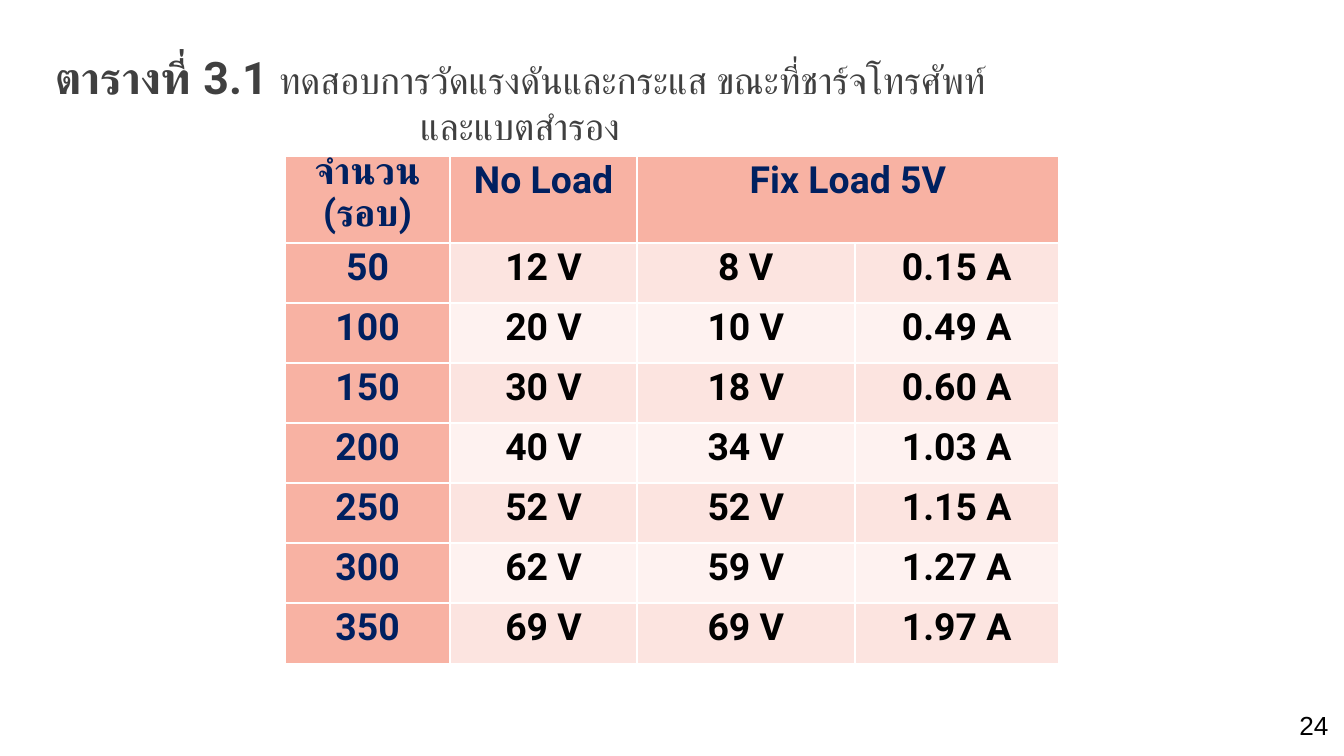
import pptx
import pptx.util
import pptx.dml.color
import pptx.enum.text

Inches, Pt = pptx.util.Inches, pptx.util.Pt
CENTER = pptx.enum.text.PP_ALIGN.CENTER
MIDDLE = pptx.enum.text.MSO_ANCHOR.MIDDLE

COLORS = {
    "title": "404040", "heading": "002060", "value": "000000",
    "header_fill": "F8B2A3", "odd_fill": "FCE4E0", "even_fill": "FEF2F0",
}
TITLE = [  # text, size, bold
    ("ตารางที่ 3.1 ", 24, True),
    ("ทดสอบการวัดแรงดันและกระแส ขณะที่ชาร์จโทรศัพท์และแบตสำรอง", 20, False),
]
HEADER = ["จำนวน (รอบ)", "No Load", "Fix Load 5V", ""]
MEASUREMENTS = [  # rounds, no-load volts, loaded volts, loaded amperes
    (50, 12, 8, "0.15"),
    (100, 20, 10, "0.49"),
    (150, 30, 18, "0.60"),
    (200, 40, 34, "1.03"),
    (250, 52, 52, "1.15"),
    (300, 62, 59, "1.27"),
    (350, 69, 69, "1.97"),
]
UNITS = ["", " V", " V", " A"]
SLIDE_WIDTH = 10
COLUMN_WIDTHS = [1.23, 1.39, 1.62, 1.52]
TABLE_HEIGHT, HEADER_HEIGHT = 3.6, 0.47
PAGE_NUMBER = "24"


def rgb(name):
    return pptx.dml.color.RGBColor.from_string(COLORS[name])


def format_font(font, name, size, color, bold=False):
    font.name, font.size, font.bold = name, Pt(size), bold
    font.color.rgb = rgb(color)


def add_text_box(slide, left, top, width, height):
    text_frame = slide.shapes.add_textbox(
        Inches(left), Inches(top), Inches(width), Inches(height)).text_frame
    text_frame.word_wrap = True
    return text_frame


def add_title(slide):
    text_frame = add_text_box(slide, 0.12, 0.63, 7.5, 0.47)
    text_frame.vertical_anchor = MIDDLE
    text_frame.margin_bottom = Inches(0.31)
    paragraph = text_frame.paragraphs[0]
    paragraph.alignment = CENTER
    for text, size, bold in TITLE:
        run = paragraph.add_run()
        run.text = text
        format_font(run.font, "Roboto", size, "title", bold)


def fill_cell(cell, text, fill, color, line_spacing):
    cell.fill.solid()
    cell.fill.fore_color.rgb = rgb(fill)
    cell.margin_left = cell.margin_right = Inches(0.07)
    cell.margin_top = cell.margin_bottom = 0
    cell.text_frame.text = text
    paragraph = cell.text_frame.paragraphs[0]
    paragraph.alignment = CENTER
    paragraph.line_spacing = line_spacing
    for run in paragraph.runs:
        format_font(run.font, "Roboto", 20, color, True)


def add_measurement_table(slide):
    rows = [HEADER] + [
        [f"{value}{unit}" for value, unit in zip(measurement, UNITS)]
        for measurement in MEASUREMENTS]
    row_height = (TABLE_HEIGHT - HEADER_HEIGHT) / len(MEASUREMENTS)
    heights = [HEADER_HEIGHT] + [row_height] * len(MEASUREMENTS)
    table = slide.shapes.add_table(
        len(rows), len(COLUMN_WIDTHS), Inches(2.12), Inches(1.16),
        Inches(sum(COLUMN_WIDTHS)), Inches(TABLE_HEIGHT)).table
    table.first_col = True
    for column, width in zip(table.columns, COLUMN_WIDTHS):
        column.width = Inches(width)
    for row, height in zip(table.rows, heights):
        row.height = Inches(height)
    table.cell(0, 2).merge(table.cell(0, 3))

    for row_index, texts in enumerate(rows):
        band = "odd_fill" if row_index % 2 else "even_fill"
        for column_index, text in enumerate(texts):
            is_heading = row_index == 0 or column_index == 0
            is_two_line = row_index == column_index == 0
            fill_cell(table.cell(row_index, column_index), text,
                      "header_fill" if is_heading else band,
                      "heading" if is_heading else "value",
                      0.97 if is_two_line else 1.06)


def add_page_number(slide):
    text_frame = add_text_box(slide, 9.57, 5.23, 0.85, 0.4)
    text_frame.text = PAGE_NUMBER
    format_font(text_frame.paragraphs[0].runs[0].font, "Arial", 14, "value")


def main():
    presentation = pptx.Presentation()
    presentation.slide_width = Inches(SLIDE_WIDTH)
    presentation.slide_height = Inches(SLIDE_WIDTH * 9 / 16)
    slide = presentation.slides.add_slide(presentation.slide_layouts[6])
    add_title(slide)
    add_measurement_table(slide)
    add_page_number(slide)
    presentation.save("out.pptx")


if __name__ == "__main__":
    main()
